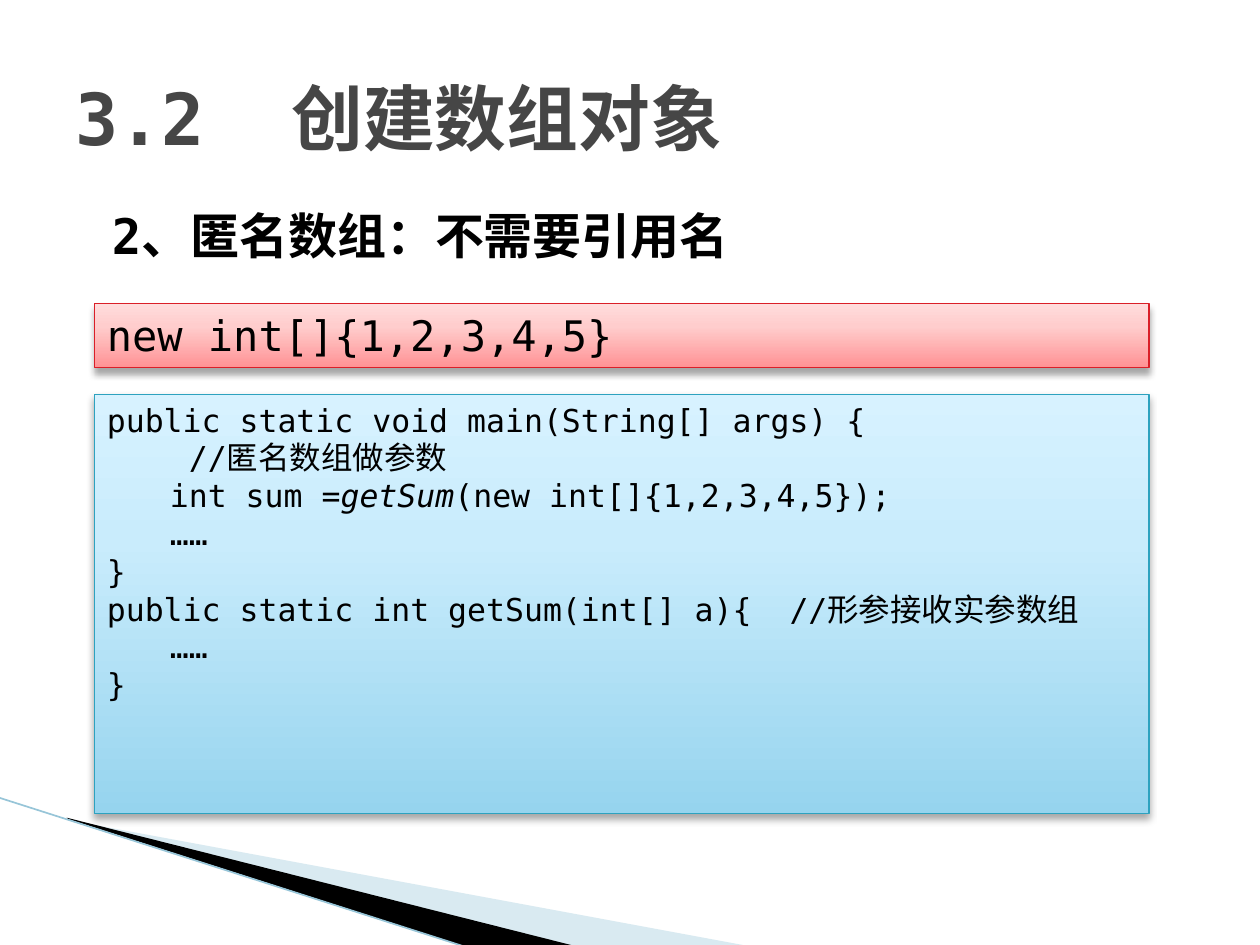
from dataclasses import dataclass

from pptx import Presentation
from pptx.dml.color import RGBColor
from pptx.enum.shapes import MSO_CONNECTOR, MSO_SHAPE
from pptx.enum.text import MSO_ANCHOR, PP_ALIGN
from pptx.oxml import parse_xml
from pptx.oxml.ns import nsdecls, qn
from pptx.util import Inches, Pt


@dataclass(frozen=True)
class Theme:
    font: str = "DejaVu Sans Mono"
    title: str = "464646"
    text: str = "000000"
    wedge: str = "000000"
    pale_wedge: str = "A0CBDC"
    edge: str = "97C5D8"
    red: tuple = ("DA1F28", ("FF9294", "FFCDCD", "FFDCDC"))
    blue: tuple = ("2DA2BF", ("96D4EE", "C9ECFC", "D7F2FF"))
    stops: tuple = (0, 65, 100)
    title_size: int = 41
    heading_size: int = 28
    example_size: int = 24
    code_size: int = 18


THEME = Theme()

# Content: each code line is a list of (text, italic) runs
TITLE = "3.2  创建数组对象"
HEADING = "2、匿名数组：不需要引用名"
EXAMPLE = [[("new int[]{1,2,3,4,5}", False)]]
PROGRAM = [
    [("public static void main(String[] args) {", False)],
    [("\t //匿名数组做参数", False)],
    [("\tint sum =", False), ("getSum", True), ("(new int[]{1,2,3,4,5});", False)],
    [("\t……", False)],
    [("}", False)],
    [("public static int getSum(int[] a){  //形参接收实参数组", False)],
    [("\t……", False)],
    [("}", False)],
]
CODE_BOXES = [  # lines, top, height, size, colours
    (EXAMPLE, 2.41, 0.51, THEME.example_size, THEME.red),
    (PROGRAM, 3.13, 3.33, THEME.code_size, THEME.blue),
]
WEDGES = [  # outline, colour, opacity in percent
    ([(0.55, 6.51), (5.95, 7.51), (4.56, 7.51), (0.55, 6.5)], THEME.pale_wedge, 40),
    ([(0.53, 6.49), (4.57, 7.51), (3.72, 7.52), (0.54, 6.5)], THEME.wedge, 100),
]
CODE_LEFT, CODE_WIDTH = 0.75, 8.37

prs = Presentation()
prs.slide_width, prs.slide_height = Inches(10), Inches(7.5)
slide = prs.slides.add_slide(prs.slide_layouts[6])
shapes = slide.shapes


def style(run, size, color, bold=False, italic=False):
    font = run.font
    font.name, font.size, font.bold, font.italic = THEME.font, Pt(size), bold, italic
    font.color.rgb = RGBColor.from_string(color)


def add_heading(text, box, size, color, anchor):
    frame = shapes.add_textbox(*map(Inches, box)).text_frame
    frame.word_wrap, frame.vertical_anchor = True, anchor
    paragraph = frame.paragraphs[0]
    paragraph.text = text
    style(paragraph.runs[0], size, color, bold=True)
    return paragraph


def add_code_box(lines, top, height, size, colors):
    border, gradient = colors
    box = shapes.add_shape(MSO_SHAPE.RECTANGLE, *map(
        Inches, (CODE_LEFT, top, CODE_WIDTH, height)))
    box.fill.solid()
    box.line.color.rgb = RGBColor.from_string(border)
    box.line.width = Pt(0.75)

    # Three-stop gradient rising from the bottom, and a soft shadow below
    props = box.fill._xPr
    stops = "".join(f'<a:gs pos="{pos * 1000}"><a:srgbClr val="{color}"/></a:gs>'
                    for pos, color in zip(THEME.stops, gradient))
    props.replace(props.find(qn("a:solidFill")), parse_xml(
        f'<a:gradFill {nsdecls("a")} rotWithShape="1"><a:gsLst>{stops}</a:gsLst>'
        '<a:lin ang="16200000" scaled="0"/></a:gradFill>'))
    props.append(parse_xml(
        f'<a:effectLst {nsdecls("a")}><a:outerShdw blurRad="{Pt(4)}" dist="{Pt(3)}" '
        'dir="5400000" rotWithShape="0"><a:srgbClr val="000000">'
        '<a:alpha val="35000"/></a:srgbClr></a:outerShdw></a:effectLst>'))

    frame = box.text_frame
    frame.word_wrap, frame.vertical_anchor = True, MSO_ANCHOR.TOP
    for number, line in enumerate(lines):
        paragraph = frame.add_paragraph() if number else frame.paragraphs[0]
        paragraph.alignment = PP_ALIGN.LEFT
        for text, italic in line:
            run = paragraph.add_run()
            run.text = text
            style(run, size, THEME.text, italic=italic)


# Corner decoration
for outline, color, opacity in WEDGES:
    points = [(Inches(x), Inches(y)) for x, y in outline]
    builder = shapes.build_freeform(*points[0])
    builder.add_line_segments(points[1:], close=True)
    wedge = builder.convert_to_shape()
    wedge.shadow.inherit = False
    wedge.line.fill.background()
    wedge.fill.solid()
    wedge.fill.fore_color.rgb = RGBColor.from_string(color)
    if opacity < 100:
        wedge.fill._xPr.find(qn("a:solidFill"))[0].append(
            parse_xml(f'<a:alpha {nsdecls("a")} val="{opacity * 1000}"/>'))

edge = shapes.add_connector(MSO_CONNECTOR.STRAIGHT,
                            *map(Inches, (-0.01, 6.33, 3.71, 7.52)))
edge.line.color.rgb = RGBColor.from_string(THEME.edge)
edge.line.width = Pt(0.95)
edge._element.spPr.append(parse_xml(f'<a:effectLst {nsdecls("a")}/>'))

# Title and heading
add_heading(TITLE, (0.5, 0.3, 9, 1.25), THEME.title_size, THEME.title, MSO_ANCHOR.MIDDLE)
heading = add_heading(HEADING, (0.67, 1.58, 8.92, 0.76), THEME.heading_size,
                      THEME.text, MSO_ANCHOR.TOP)
heading.alignment = PP_ALIGN.JUSTIFY
heading.space_before = Pt(4)
indents = heading._p.get_or_add_pPr()
indents.set("marL", str(Inches(0.4)))
indents.set("indent", str(Inches(-0.28)))

# Code
for code_box in CODE_BOXES:
    add_code_box(*code_box)

prs.save("out.pptx")
